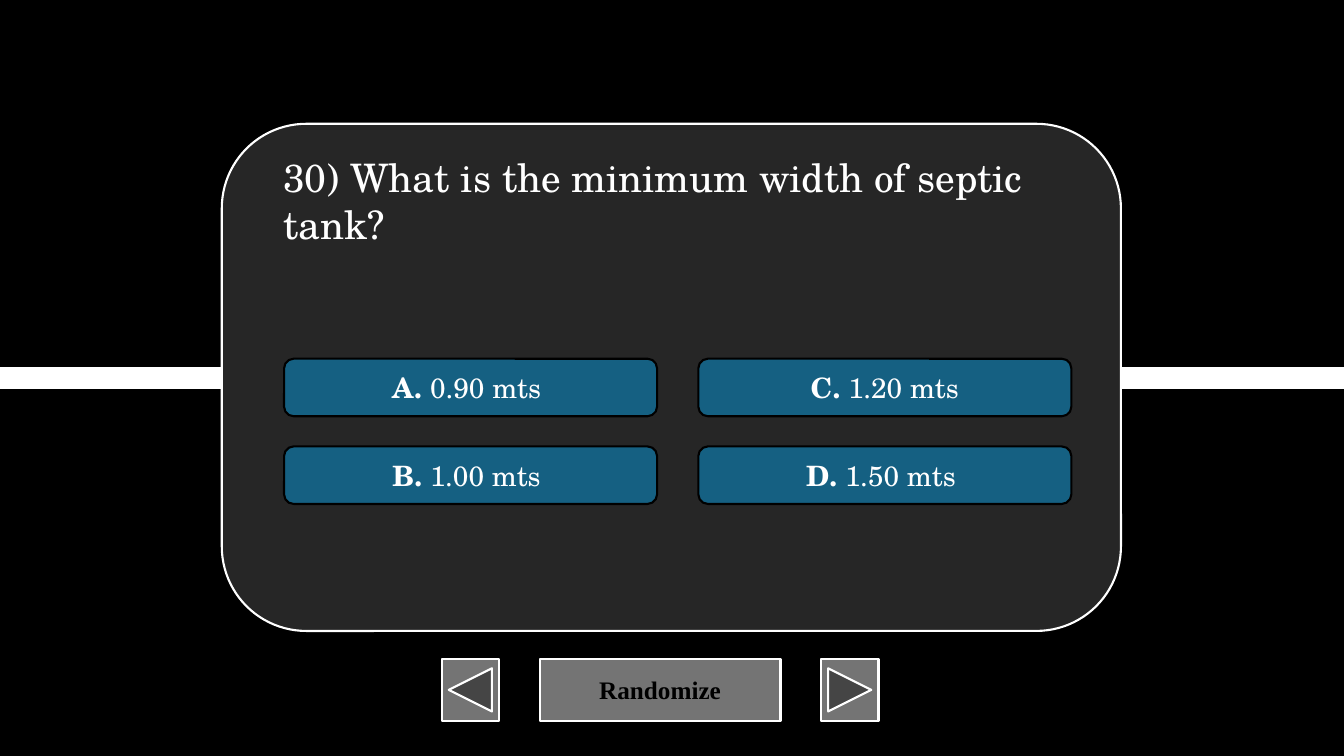
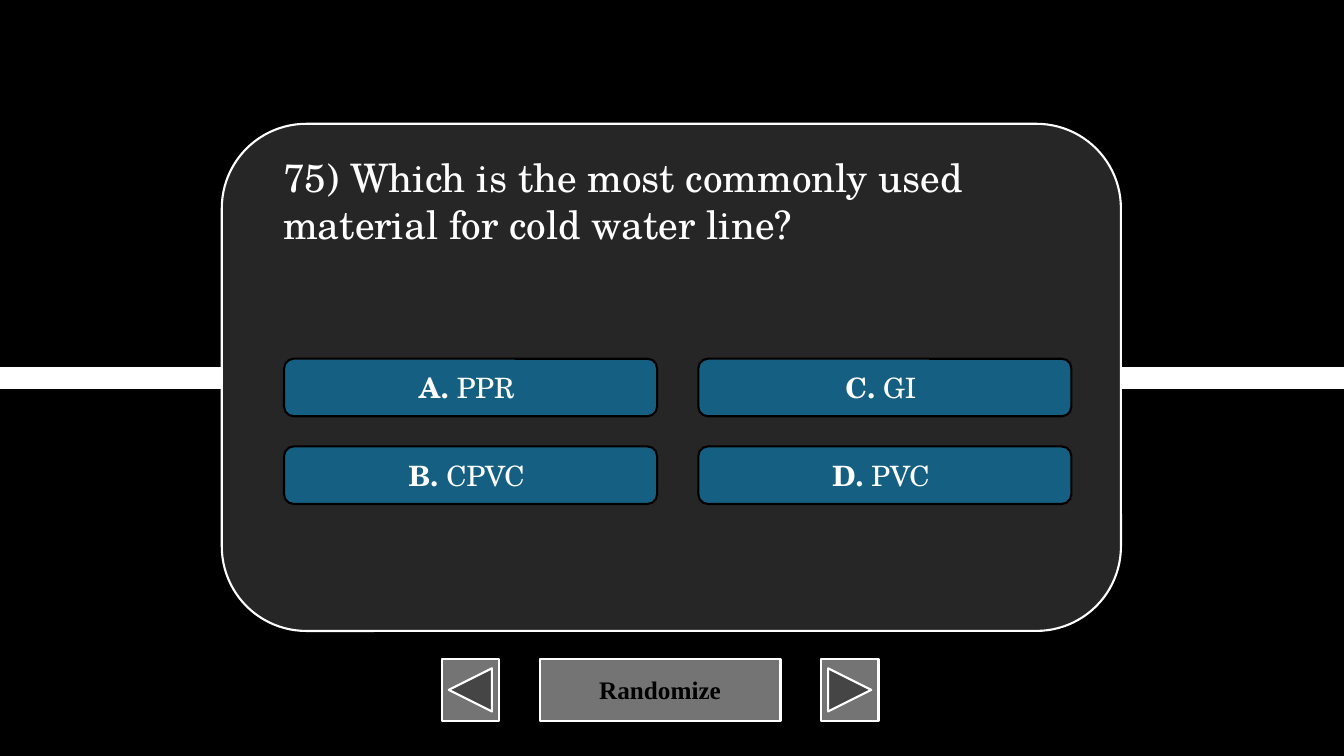
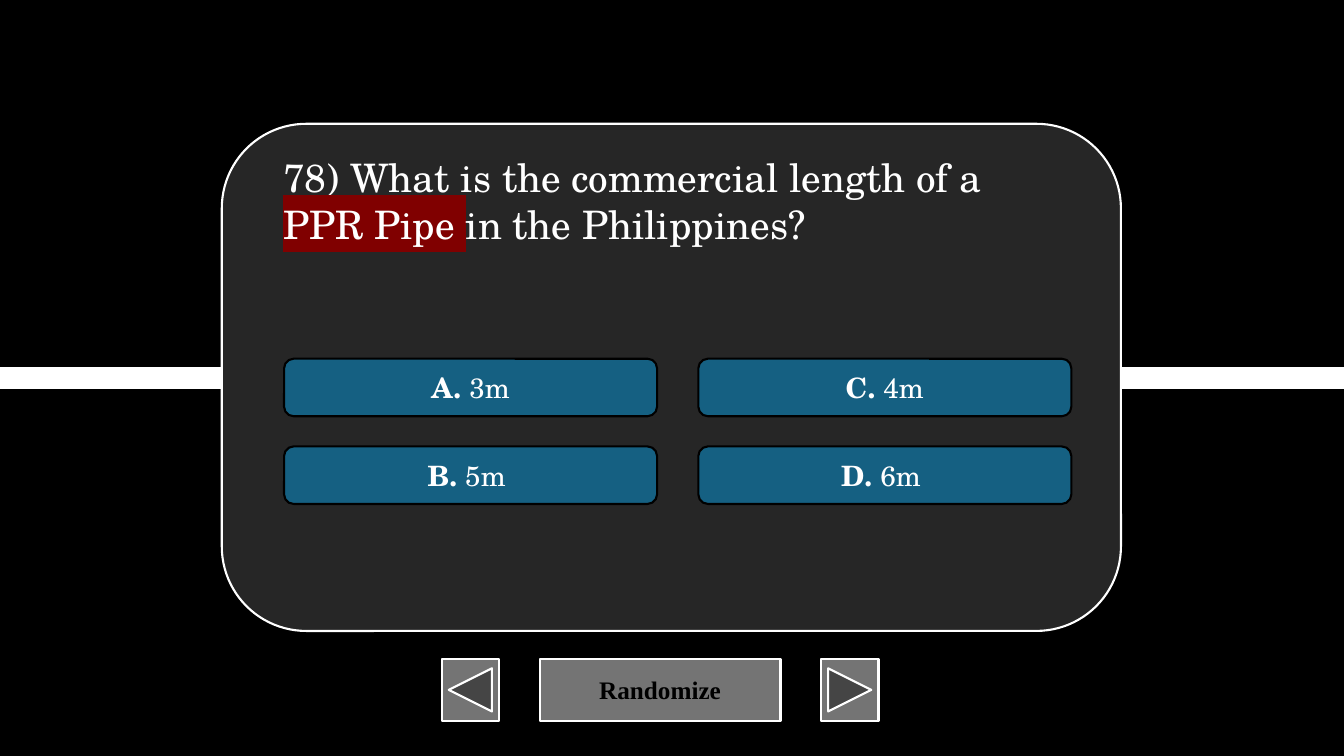
from dataclasses import dataclass

import lxml.etree
import pptx
import pptx.dml.color
import pptx.enum.shapes
import pptx.enum.text
import pptx.oxml.ns
import pptx.shapes.autoshape
import pptx.slide
import pptx.text.text
import pptx.util

RGBColor = pptx.dml.color.RGBColor
Cm = pptx.util.Cm
Pt = pptx.util.Pt
Kind = pptx.enum.shapes.MSO_SHAPE
Anchor = pptx.enum.text.MSO_ANCHOR
Align = pptx.enum.text.PP_ALIGN
qn = pptx.oxml.ns.qn

BLACK = RGBColor(0x00, 0x00, 0x00)
WHITE = RGBColor(0xFF, 0xFF, 0xFF)
CHARCOAL = RGBColor(0x26, 0x26, 0x26)
GRAY = RGBColor(0x74, 0x74, 0x74)
BLUE = RGBColor(0x15, 0x60, 0x82)
DARK_RED = RGBColor(0x80, 0x00, 0x00)

QUIZ_FONT = "TeX Gyre Schola"
BUTTON_FONT = "Times New Roman"

PAGE_WIDTH, PAGE_HEIGHT = 33.87, 19.05
OPTION_LEFT, OPTION_TOP = 7.16, 9.04
OPTION_WIDTH, OPTION_HEIGHT = 9.4, 1.45
COLUMN_STEP, ROW_STEP = 10.44, 2.21
BUTTON_LEFT, BUTTON_TOP = 11.13, 16.61
BUTTON_HEIGHT, BUTTON_GAP = 1.55, 1.02


@dataclass(frozen=True)
class Phrase:
    text: str
    highlight: RGBColor | None = None


@dataclass(frozen=True)
class Question:
    phrases: tuple[Phrase, ...]
    options: tuple[str, str, str, str]
    title_height: float


@dataclass(frozen=True)
class Button:
    kind: Kind
    width: float
    label: str = ""


BUTTONS = (
    Button(Kind.ACTION_BUTTON_BACK_OR_PREVIOUS, 1.45),
    Button(Kind.ACTION_BUTTON_CUSTOM, 6.07, "Randomize"),
    Button(Kind.ACTION_BUTTON_FORWARD_OR_NEXT, 1.45),
)

QUESTIONS = (
    Question(
        (Phrase("30) What is the minimum width of septic tank?"),),
        ("0.90 mts ", "1.00 mts ", "1.20 mts", "1.50 mts "),
        2.64,
    ),
    Question(
        (Phrase("75) Which is the most commonly used material for cold water line?"),),
        ("PPR ", "CPVC ", "GI ", "PVC "),
        3.84,
    ),
    Question(
        (
            Phrase("78) What is the commercial length of a "),
            Phrase("PPR Pipe ", DARK_RED),
            Phrase("in the Philippines?"),
        ),
        ("3m", "5m ", "4m", "6m "),
        3.84,
    ),
)


def add_box(
    page: pptx.slide.Slide, kind: Kind, left: float, top: float,
    width: float, height: float, fill: RGBColor, line: RGBColor,
) -> pptx.shapes.autoshape.Shape:
    box = page.shapes.add_shape(kind, Cm(left), Cm(top), Cm(width), Cm(height))
    box.shadow.inherit = False
    box.fill.solid()
    box.fill.fore_color.rgb = fill
    box.line.color.rgb = line
    box.line.width = Pt(1.5)
    box.text_frame.vertical_anchor = Anchor.MIDDLE
    box.text_frame.paragraphs[0].alignment = Align.CENTER
    return box


def add_span(
    para: pptx.text.text._Paragraph, text: str, size: float,
    color: RGBColor = WHITE, font: str = QUIZ_FONT, bold: bool = False,
) -> pptx.text.text._Run:
    span = para.add_run()
    span.text = text
    span.font.size = Pt(size)
    span.font.bold = bold
    span.font.color.rgb = color
    span.font.name = font
    return span


def highlight_span(span: pptx.text.text._Run, color: RGBColor) -> None:
    properties = span._r.get_or_add_rPr()
    highlight = lxml.etree.Element(qn("a:highlight"))
    lxml.etree.SubElement(highlight, qn("a:srgbClr")).set("val", str(color))
    properties.find(qn("a:latin")).addprevious(highlight)


def add_band(page: pptx.slide.Slide) -> None:
    middle = Cm(PAGE_HEIGHT / 2)
    band = page.shapes.add_connector(
        pptx.enum.shapes.MSO_CONNECTOR.STRAIGHT, 0, middle, Cm(PAGE_WIDTH), middle
    )
    band.line.color.rgb = WHITE
    band.line.width = Pt(16)
    lxml.etree.SubElement(band.element.spPr, qn("a:effectLst"))


def add_buttons(page: pptx.slide.Slide) -> None:
    left = BUTTON_LEFT
    for button in BUTTONS:
        box = add_box(page, button.kind, left, BUTTON_TOP, button.width, BUTTON_HEIGHT, GRAY, WHITE)
        if button.label:
            add_span(box.text_frame.paragraphs[0], button.label, 18, BLACK, BUTTON_FONT, bold=True)
        left += button.width + BUTTON_GAP


def add_options(page: pptx.slide.Slide, options: tuple[str, ...]) -> None:
    for index, (letter, answer) in enumerate(zip("ABCD", options)):
        column, row = divmod(index, 2)
        box = add_box(
            page, Kind.ROUNDED_RECTANGLE,
            OPTION_LEFT + column * COLUMN_STEP, OPTION_TOP + row * ROW_STEP,
            OPTION_WIDTH, OPTION_HEIGHT, BLUE, BLACK,
        )
        para = box.text_frame.paragraphs[0]
        add_span(para, f"{letter}. ", 20, bold=True)
        add_span(para, answer, 20)


def set_title(page: pptx.slide.Slide, question: Question) -> None:
    title = page.shapes.title
    title.left, title.top = Cm(6.88), Cm(3.73)
    title.width, title.height = Cm(20.12), Cm(question.title_height)
    frame = title.text_frame
    frame.word_wrap = True
    frame.auto_size = pptx.enum.text.MSO_AUTO_SIZE.NONE
    frame.vertical_anchor = Anchor.TOP
    para = frame.paragraphs[0]
    para.alignment = Align.LEFT
    for phrase in question.phrases:
        span = add_span(para, phrase.text, 28)
        if phrase.highlight is not None:
            highlight_span(span, phrase.highlight)
    page.shapes.element.append(title.element)


def main() -> None:
    deck = pptx.Presentation()
    deck.slide_width, deck.slide_height = Cm(PAGE_WIDTH), Cm(PAGE_HEIGHT)
    background = deck.slide_master.background.fill
    background.solid()
    background.fore_color.rgb = BLACK
    title_only = deck.slide_layouts.get_by_name("Title Only")
    for question in QUESTIONS:
        page = deck.slides.add_slide(title_only)
        add_band(page)
        add_buttons(page)
        add_box(page, Kind.ROUNDED_RECTANGLE, 5.59, 3.12, 22.66, 12.78, CHARCOAL, WHITE)
        add_options(page, question.options)
        set_title(page, question)
    deck.save("out.pptx")


if __name__ == "__main__":
    main()
